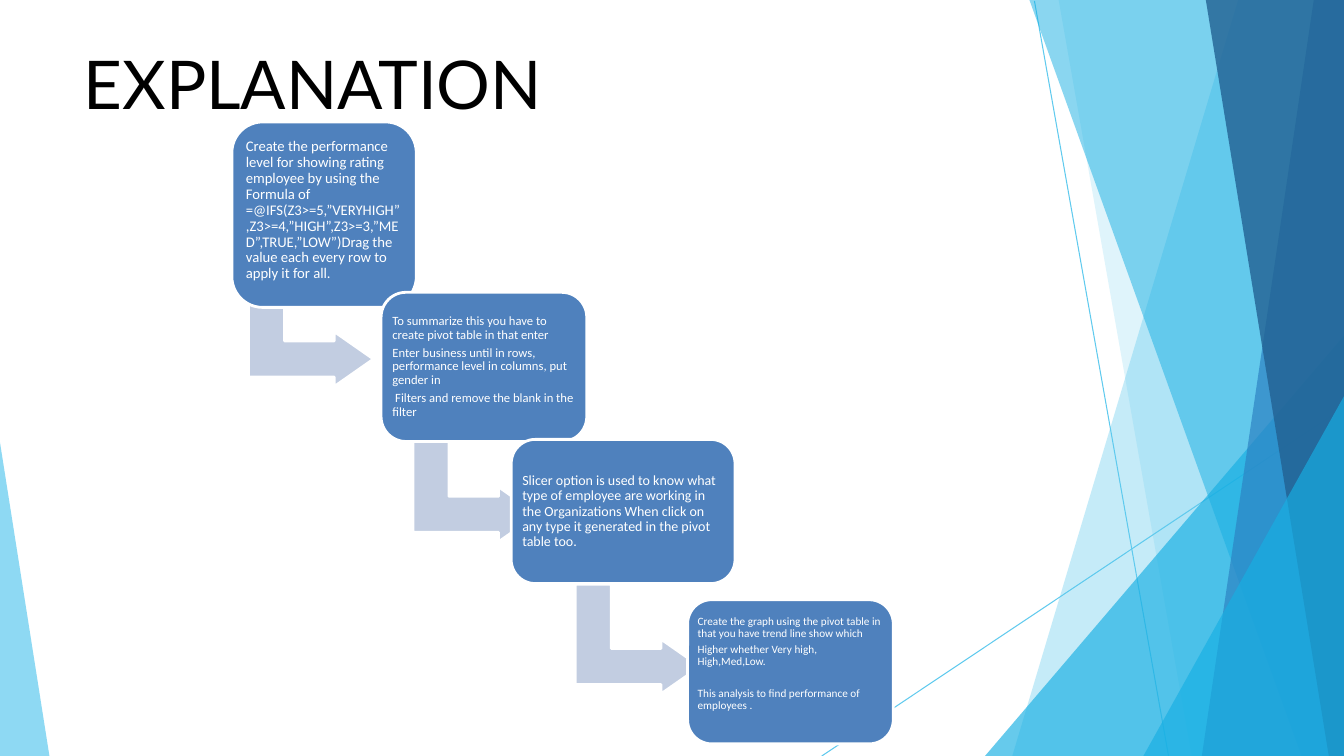
import pptx
import pptx.dml.color
import pptx.enum.shapes
import pptx.enum.text
import pptx.oxml
import pptx.oxml.ns
import pptx.util

Inches, Pt = pptx.util.Inches, pptx.util.Pt
SHAPE = pptx.enum.shapes.MSO_SHAPE
ALIGN, ANCHOR = pptx.enum.text.PP_ALIGN, pptx.enum.text.MSO_ANCHOR
NS = pptx.oxml.ns.nsdecls("a")
W, H = 13.33, 7.5


def paint(fill, color, alpha=100):
    """Solid fill from a hex string; alpha is the opacity in percent."""
    fill.solid()
    fill.fore_color.rgb = pptx.dml.color.RGBColor.from_string(color)
    if alpha < 100:
        clr = fill._xPr.find(".//" + pptx.oxml.ns.qn("a:srgbClr"))
        clr.append(pptx.oxml.parse_xml(f'<a:alpha {NS} val="{alpha * 1000}"/>'))


def add_block(kind, left, top, width, height, color, adjustments):
    """Filled shape with the white outline shared by steps and arrows."""
    sp = s.shapes.add_shape(kind, Inches(left), Inches(top), Inches(width), Inches(height))
    sp.shadow.inherit = False
    paint(sp.fill, color)
    paint(sp.line.fill, "FFFFFF")
    sp.line.width = Pt(2)
    for i, value in enumerate(adjustments):
        sp.adjustments[i] = value
    return sp


prs = pptx.Presentation()
prs.slide_width, prs.slide_height = Inches(W), Inches(H)
s = prs.slides.add_slide(prs.slide_layouts[5])

# Background rays and facets
for x1, y1, x2, y2 in [(10.26, 0.01, 11.59, H), (W, 4.04, 8.15, H)]:
    ray = s.shapes.add_connector(pptx.enum.shapes.MSO_CONNECTOR.STRAIGHT,
                                 Inches(x1), Inches(y1), Inches(x2), Inches(y2))
    paint(ray.line.fill, "5FCAEE")
    ray.line.width = Pt(0.75)
    ray._element.spPr.append(pptx.oxml.parse_xml(f"<a:effectLst {NS}/>"))

facets = [
    ([(W, 0), (12.28, 0), (10.04, H), (W, H)], "5FCAEE", 36),
    ([(W, 0), (10.5, 0), (11.82, H), (W, H)], "5FCAEE", 20),
    ([(W, 3.33), (9.77, H), (W, H)], "17AFE3", 66),
    ([(W, 0), (10.21, 0), (12.91, H), (W, H)], "17AFE3", 50),
    ([(W, 0), (13.03, 0), (11.92, H), (W, H)], "2D83C3", 70),
    ([(W, 0), (11.96, 0), (13.18, H), (W, H)], "226192", 80),
    ([(W, 3.93), (11.34, H), (W, H)], "17AFE3", 66),
    ([(0, 4.39), (0, H), (0.49, H)], "5FCAEE", 70),
]
for points, color, alpha in facets:
    corners = [(Inches(x), Inches(y)) for x, y in points]
    outline = s.shapes.build_freeform(*corners[0])
    outline.add_line_segments(corners[1:], close=True)
    sp = outline.convert_to_shape()
    sp.shadow.inherit = False
    paint(sp.fill, color, alpha)
    sp.line.fill.background()

# Title
title = s.shapes.title
title.left, title.top, title.width, title.height = map(Inches, (0.83, 0.42, 11.68, 0.79))
tf = title.text_frame
tf.margin_left = tf.margin_top = tf.margin_right = tf.margin_bottom = 0
tf.vertical_anchor = ANCHOR.TOP
p = tf.paragraphs[0]
p.alignment = ALIGN.LEFT
r = p.add_run()
r.text = "EXPLANATION"
r.font.name, r.font.size = "Lato", Pt(48)
paint(r.font.fill, "000000")

# Steps: box, text size, margin, extra bottom margin, arrow corner, (text, space before)
steps = [
    ((2.3, 1.21, 1.83, 1.84), 10.5, 0.05, 0.08, (2.54, 2.67), [
        ("Create the performance level for showing rating employee by using the Formula of "
         "=@IFS(Z3>=5,”VERYHIGH”,Z3>=4,”HIGH”,Z3>=3,”MED”,TRUE,”LOW”)"
         "Drag the value each every row to apply it for all.", 0)]),
    ((3.78, 2.9, 2.04, 1.48), 9, 0.04, 0, (4.17, 4.21), [
        ("To summarize this you have to create pivot table in that enter", 0),
        ("Enter business until in rows, performance level in columns, put gender in", 0),
        (" Filters and remove the blank in the filter", 0)]),
    ((5.07, 4.36, 2.22, 1.43), 10, 0.04, 0, (5.78, 5.72), [
        ("Slicer option is used to know what type of employee are working in the Organizations "
         "When click on any type it generated in the pivot table too.", 0)]),
    ((6.82, 5.95, 2.04, 1.43), 8, 0.03, 0.16, None, [
        ("Create the graph using the pivot table in that you have trend line show which", 0),
        ("Higher whether Very high, High,Med,Low.", 0),
        ("This analysis to find performance of employees .", 11.5)]),
]
for box, size, margin, extra, arrow_at, paragraphs in steps:
    if arrow_at:
        arrow = add_block(SHAPE.BENT_UP_ARROW, *arrow_at, 1.09, 1.24, "C2CDE1",
                          (0.328, 0.25, 0.358))
        arrow.rotation = 90
    step = add_block(SHAPE.ROUNDED_RECTANGLE, *box, "4F81BD", (0.167,))
    tf = step.text_frame
    tf.word_wrap = True
    tf.vertical_anchor = ANCHOR.MIDDLE
    tf.margin_left = tf.margin_top = tf.margin_right = Inches(margin)
    tf.margin_bottom = Inches(margin + extra)
    for i, (text, before) in enumerate(paragraphs):
        p = tf.add_paragraph() if i else tf.paragraphs[0]
        p.alignment = ALIGN.LEFT
        p.line_spacing = 0.9
        p.space_before, p.space_after = Pt(before), Pt(0.35 * size)
        r = p.add_run()
        r.text = text
        r.font.name, r.font.size = "Calibri", Pt(size)
        paint(r.font.fill, "FFFFFF")

prs.save("out.pptx")
